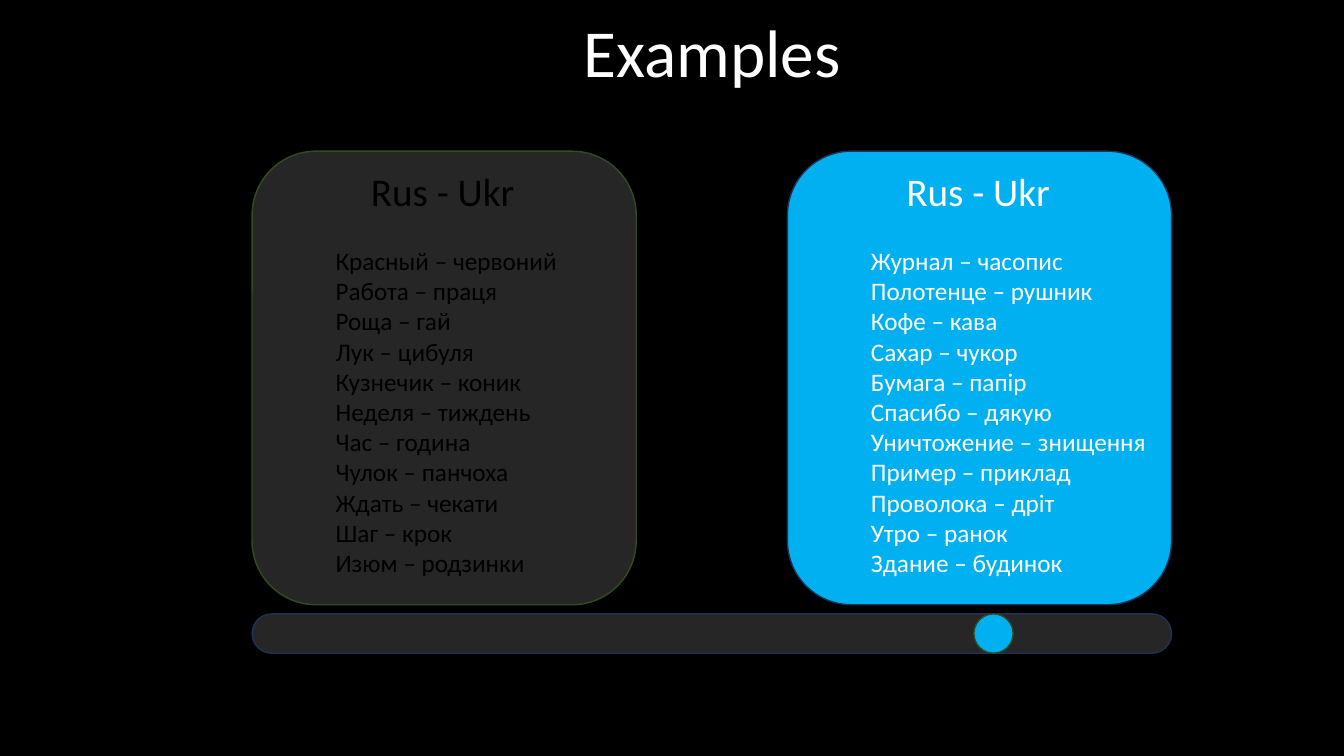
from pptx import Presentation
from pptx.dml.color import RGBColor
from pptx.enum.shapes import MSO_SHAPE
from pptx.enum.text import MSO_ANCHOR, MSO_AUTO_SIZE, PP_ALIGN
from pptx.util import Inches, Pt

BLACK = RGBColor(0x00, 0x00, 0x00)
WHITE = RGBColor(0xFF, 0xFF, 0xFF)
CHARCOAL = RGBColor(0x26, 0x26, 0x26)
SKY = RGBColor(0x00, 0xB0, 0xF0)
GREEN_EDGE = RGBColor(0x31, 0x4C, 0x1F)
NAVY_EDGE = RGBColor(0x1E, 0x32, 0x56)

FONT = "Calibri"
LEFT, TOP = 2.5, 1.5
CARD_WIDTH, CARD_HEIGHT = 3.81, 4.5
CARD_STEP = 5.31
TRACK_TOP, TRACK_HEIGHT = 6.09, 0.39
KNOB_SHARE = 0.82

HEADING = "Rus - Ukr"
DARK_WORDS = [
    "Красный – червоний", "Работа – праця", "Роща – гай", "Лук – цибуля",
    "Кузнечик – коник", "Неделя – тиждень", "Час – година", "Чулок – панчоха",
    "Ждать – чекати", "Шаг – крок", "Изюм – родзинки",
]
BLUE_WORDS = [
    "Журнал – часопис", "Полотенце – рушник", "Кофе – кава", "Сахар – чукор",
    "Бумага – папiр", "Спасибо – дякую", "Уничтожение – знищення",
    "Пример – приклад", "Проволока – дрiт", "Утро – ранок", "Здание – будинок",
]
CARDS = [
    (DARK_WORDS, CHARCOAL, GREEN_EDGE, BLACK),
    (BLUE_WORDS, SKY, NAVY_EDGE, WHITE),
]


def add_panel(slide, kind, box, fill, edge):
    """Add a flat filled shape with a thin outline."""
    panel = slide.shapes.add_shape(kind, *map(Inches, box))
    panel.shadow.inherit = False
    panel.fill.solid()
    panel.fill.fore_color.rgb = fill
    panel.line.color.rgb = edge
    panel.line.width = Pt(1)
    return panel


def write_line(para, text, size, color):
    """Set one left-aligned paragraph and format its run."""
    para.text = text
    para.alignment = PP_ALIGN.LEFT
    font = para.runs[0].font
    font.name = FONT
    font.size = Pt(size)
    font.color.rgb = color


def add_title(slide, box):
    """Place the slide title in its placeholder."""
    title = slide.shapes.title
    title.left, title.top, title.width, title.height = map(Inches, box)
    frame = title.text_frame
    frame.auto_size = MSO_AUTO_SIZE.NONE
    frame.vertical_anchor = MSO_ANCHOR.TOP
    write_line(frame.paragraphs[0], "Examples", 48, WHITE)


def add_card(slide, box, words, fill, edge, color):
    """Draw a rounded card with a heading and its word pairs."""
    left, top, width, height = box
    add_panel(slide, MSO_SHAPE.ROUNDED_RECTANGLE, box, fill, edge)
    inset = 0.73
    text_box = slide.shapes.add_textbox(
        Inches(left + inset), Inches(top + 0.11),
        Inches(width - inset), Inches(height - 0.29))
    frame = text_box.text_frame
    frame.word_wrap = True
    heading = frame.paragraphs[0]
    write_line(heading, HEADING, 28, color)
    heading.space_after = Pt(22)
    heading_properties = heading._p.get_or_add_pPr()
    heading_properties.set("marL", "0")
    heading_properties.set("indent", str(Inches(0.35)))
    for word in words:
        write_line(frame.add_paragraph(), word, 18, color)


def add_slider(slide, box):
    """Draw the slider track with its round knob."""
    left, top, width, height = box
    track = add_panel(slide, MSO_SHAPE.ROUNDED_RECTANGLE, box, CHARCOAL, NAVY_EDGE)
    track.adjustments[0] = 0.5
    knob_left = left + KNOB_SHARE * (width - height)
    add_panel(slide, MSO_SHAPE.OVAL, (knob_left, top, height, height), SKY, GREEN_EDGE)


def main():
    """Build the slide and save the deck."""
    deck = Presentation()
    deck.slide_width, deck.slide_height = Inches(13.33), Inches(7.5)
    slide = deck.slides.add_slide(deck.slide_layouts.get_by_name("Title Only"))
    slide.background.fill.solid()
    slide.background.fill.fore_color.rgb = BLACK
    add_title(slide, (5.69, 0.05, 2.81, 0.91))
    for index, card in enumerate(CARDS):
        box = (LEFT + index * CARD_STEP, TOP, CARD_WIDTH, CARD_HEIGHT)
        add_card(slide, box, *card)
    add_slider(slide, (LEFT, TRACK_TOP, CARD_STEP + CARD_WIDTH, TRACK_HEIGHT))
    deck.save("out.pptx")


if __name__ == "__main__":
    main()
